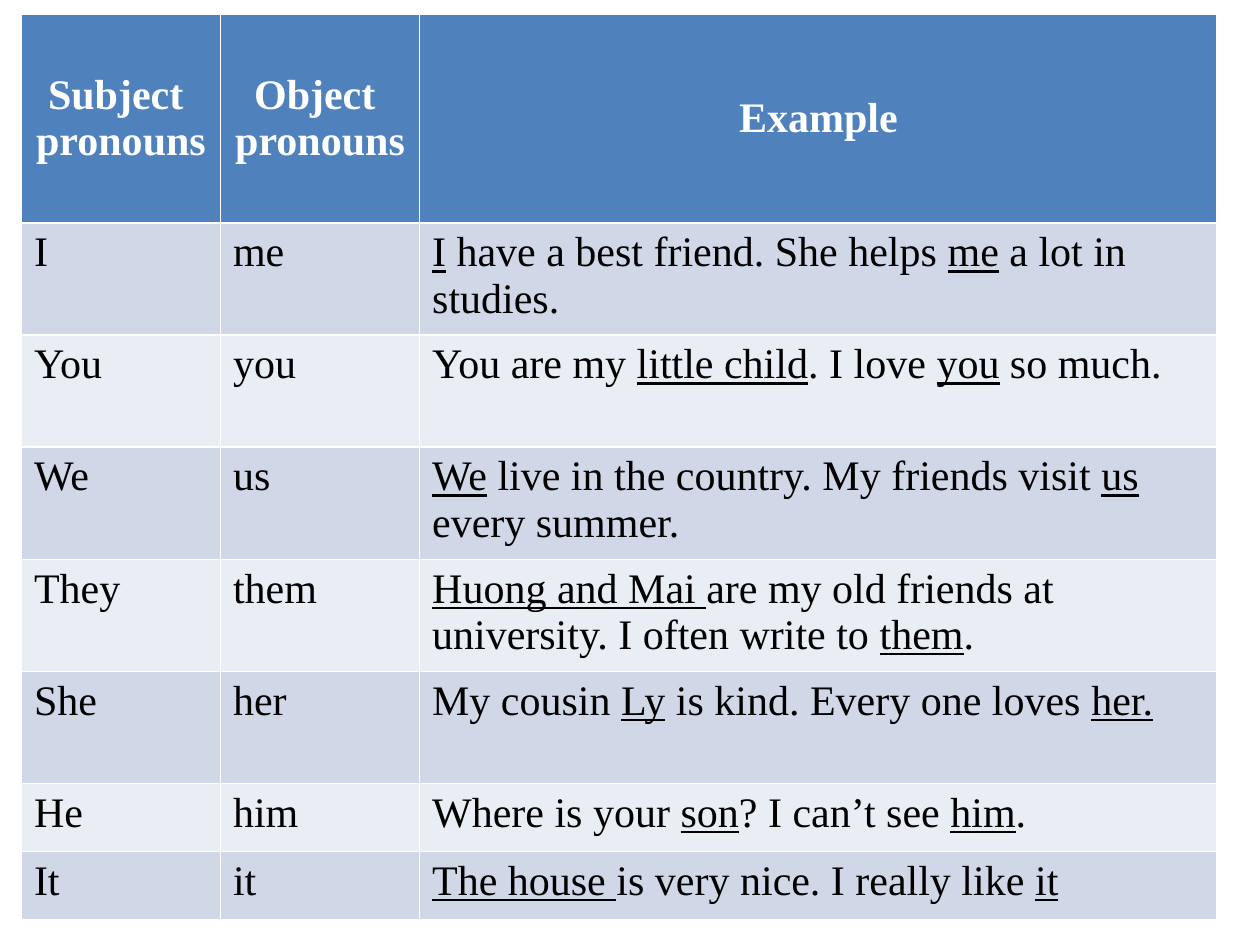
from pptx import Presentation
from pptx.dml.color import RGBColor
from pptx.enum.text import MSO_ANCHOR, PP_ALIGN
from pptx.util import Inches, Pt

CENTER = PP_ALIGN.CENTER
LEFT = PP_ALIGN.LEFT
MIDDLE = MSO_ANCHOR.MIDDLE
TOP = MSO_ANCHOR.TOP

FONT = "Times New Roman"
HEADER_FILL = "4F81BD"
BAND_FILLS = ("D0D8E8", "E9EDF4")
COL_WIDTHS = (1.58, 1.58, 6.33)
ROW_HEIGHTS = (1.66,) + (0.89,) * 5 + (0.54,) * 2

HEADERS = ("Subject \npronouns", "Object \npronouns", "Example")
# Underscores enclose underlined words.
PRONOUNS = (
    ("I", "me", "_I_ have a best friend. She helps _me_ a lot in studies."),
    ("You", "you", "You are my _little child_. I love _you_ so much."),
    ("We", "us", "_We_ live in the country. My friends visit _us_ every summer."),
    ("They", "them", "_Huong and Mai _are my old friends at university. "
                     "I often write to _them_."),
    ("She", "her", "My cousin _Ly_ is kind. Every one loves _her._"),
    ("He", "him", "Where is your _son_? I can’t see _him_."),
    ("It", "it", "_The house _is very nice. I really like _it_"),
)


def rgb(value):
    """Return the colour for a hex string."""
    return RGBColor.from_string(value)


def add_runs(p, text, color, bold):
    """Add text to a paragraph, underlining the parts between underscores."""
    for i, part in enumerate(text.split("_")):
        if part:
            r = p.add_run()
            r.text = part
            r.font.name = FONT
            r.font.size = Pt(24)
            r.font.bold = bold
            r.font.underline = i % 2 == 1
            r.font.color.rgb = rgb(color)


def fill_cell(cell, text, fill, header):
    """Set the fill, alignment and text of one cell."""
    cell.fill.solid()
    cell.fill.fore_color.rgb = rgb(fill)
    cell.vertical_anchor = MIDDLE if header else TOP
    tf = cell.text_frame
    for i, line in enumerate(text.split("\n")):
        p = tf.add_paragraph() if i else tf.paragraphs[0]
        p.alignment = CENTER if header else LEFT
        add_runs(p, line, "FFFFFF" if header else "000000", header)


def add_pronoun_table(slide):
    """Add the table of pronouns with its header and banded rows."""
    rows = (HEADERS,) + PRONOUNS
    table = slide.shapes.add_table(
        len(rows), len(COL_WIDTHS), Inches(0.17), Inches(0.11),
        Inches(sum(COL_WIDTHS)), Inches(sum(ROW_HEIGHTS))).table
    for column, width in zip(table.columns, COL_WIDTHS):
        column.width = Inches(width)
    for i, (row, height, texts) in enumerate(zip(table.rows, ROW_HEIGHTS, rows)):
        row.height = Inches(height)
        fill = BAND_FILLS[(i - 1) % 2] if i else HEADER_FILL
        for cell, text in zip(row.cells, texts):
            fill_cell(cell, text, fill, i == 0)


def main():
    """Build and save the slide."""
    prs = Presentation()
    prs.slide_width = Inches(10)
    prs.slide_height = Inches(7.5)
    slide = prs.slides.add_slide(prs.slide_layouts[6])
    add_pronoun_table(slide)
    prs.save("out.pptx")


if __name__ == "__main__":
    main()
